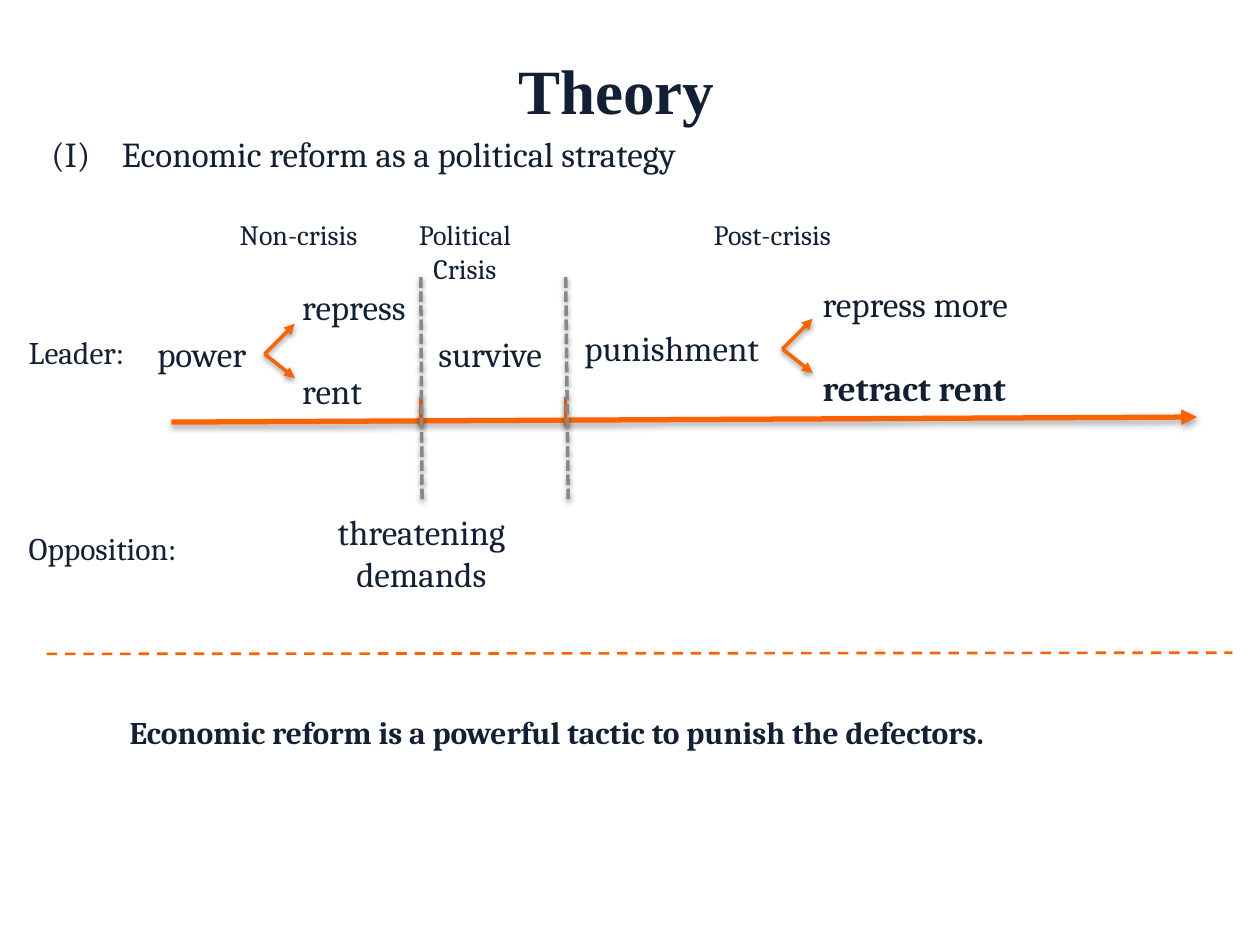
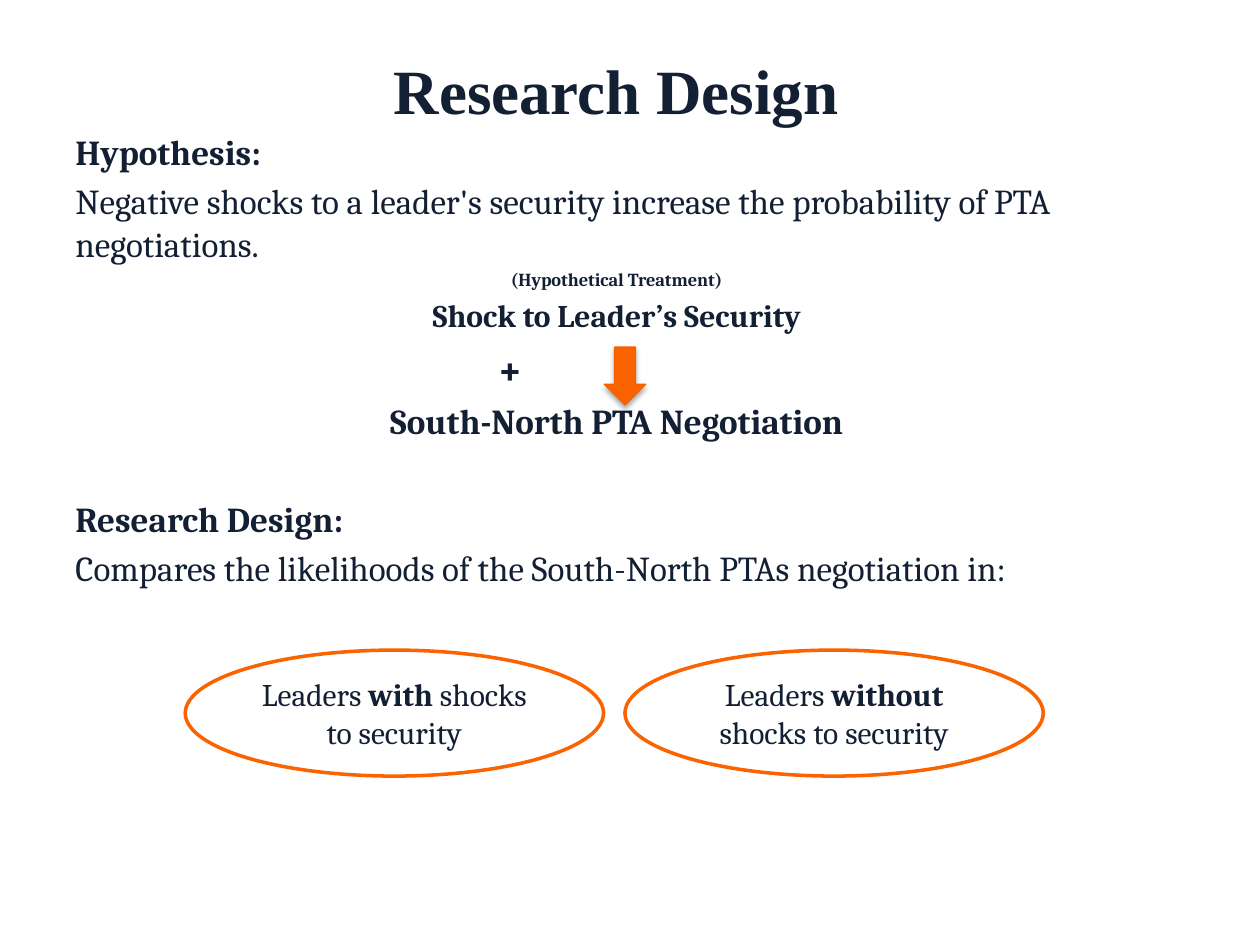
"""Build two slides on political reform: theory and research design."""
import dataclasses

import lxml.etree
import pptx
import pptx.dml.color
import pptx.enum.dml
import pptx.enum.shapes
import pptx.enum.text
import pptx.oxml.ns
import pptx.util

Inches = pptx.util.Inches
Pt = pptx.util.Pt
Align = pptx.enum.text.PP_ALIGN
Anchor = pptx.enum.text.MSO_ANCHOR
Dash = pptx.enum.dml.MSO_LINE
Shape = pptx.enum.shapes.MSO_SHAPE
qn = pptx.oxml.ns.qn


@dataclasses.dataclass(frozen=True)
class Theme:
    """Colours, fonts and type sizes of the deck."""
    ink: str = "131F33"
    accent: str = "FA6300"
    edge: str = "F46100"
    grey: str = "888888"
    white: str = "FFFFFF"
    shade: str = "000000"
    head: str = "Times New Roman"
    body: str = "Cambria"
    title: float = 36
    plus: float = 24
    large: float = 20
    mid: float = 18
    small: float = 16
    tiny: float = 10.5


THEME = Theme()


def rgb(code):
    """Turn a hex code into a colour."""
    return pptx.dml.color.RGBColor.from_string(code)


def style(para, size, bold=False, align=Align.LEFT, face=THEME.body):
    """Set the font and alignment of a paragraph."""
    font = para.font
    font.name, font.size, font.bold = face, Pt(size), bold
    font.color.rgb = rgb(THEME.ink)
    para.alignment = align


def write(slide, box, lines):
    """Add a text box with one paragraph for each (text, style, space before)."""
    frame = slide.shapes.add_textbox(*map(Inches, box)).text_frame
    frame.word_wrap = True
    for place, (text, look, gap) in enumerate(lines):
        para = frame.add_paragraph() if place else frame.paragraphs[0]
        para.text = text
        style(para, **look)
        para.space_before = Pt(gap)
    return frame


def label(slide, box, text, size=THEME.large, **look):
    """Add a text box of a single style."""
    lines = [(part, dict(size=size, **look), 0) for part in text.split("\n")]
    return write(slide, box, lines)


def indent(para, left, first=0):
    """Set the left margin and first-line indent in inches."""
    props = para._p.get_or_add_pPr()
    props.set("marL", str(Inches(left)))
    props.set("indent", str(Inches(first)))
    return props


def shadow(shape, alpha, dist):
    """Give a shape a soft shadow that falls straight down."""
    props = shape.element.spPr
    list_ = lxml.etree.SubElement(props, qn("a:effectLst"))
    if alpha:
        outer = lxml.etree.SubElement(
            list_, qn("a:outerShdw"), blurRad=str(Pt(3.1)), dist=str(Pt(dist)),
            dir="5400000", rotWithShape="0")
        tint = lxml.etree.SubElement(outer, qn("a:srgbClr"), val=THEME.shade)
        lxml.etree.SubElement(tint, qn("a:alpha"), val=str(alpha * 1000))


def draw(slide, start, end, color=THEME.accent, width=2, dash=None,
         arrow=False, alpha=38, dist=1.6):
    """Draw a straight line between two points."""
    link = slide.shapes.add_connector(
        pptx.enum.shapes.MSO_CONNECTOR.STRAIGHT, *map(Inches, (*start, *end)))
    link.line.color.rgb = rgb(color)
    link.line.width = Pt(width)
    if dash:
        link.line.dash_style = dash
    if arrow:
        edge = link.element.spPr.find(qn("a:ln"))
        lxml.etree.SubElement(edge, qn("a:tailEnd"), type="triangle")
    shadow(link, alpha, dist)


def start(deck, text):
    """Add a slide with the shared title style."""
    slide = deck.slides.add_slide(deck.slide_layouts[5])
    title = slide.shapes.title
    title.left, title.top, title.width, title.height = map(
        Inches, (0.42, 0.3, 9.08, 1.25))
    frame = title.text_frame
    frame.text = text
    frame.auto_size = pptx.enum.text.MSO_AUTO_SIZE.NONE
    frame.vertical_anchor = Anchor.TOP
    frame.margin_top, frame.margin_right = Inches(0.11), Inches(0.24)
    style(frame.paragraphs[0], THEME.title, True, Align.CENTER, THEME.head)
    return slide


def fork(slide, left, top):
    """Draw two arrows that part from one point."""
    for rise in (-0.24, 0.19):
        draw(slide, (left, top), (left + 0.24, top + rise), arrow=True)


def choice(slide, box, upper, lower, strong=False):
    """Write two options, one above the other."""
    write(slide, box, [(upper, dict(size=THEME.large), 0),
                       (lower, dict(size=THEME.large, bold=strong), 24)])


def phases(slide, left, top):
    """Name the three phases above the time line."""
    names = ((0, "Non-crisis"), (1.32, "Political\nCrisis"), (3.76, "Post-crisis"))
    for shift, name in names:
        label(slide, (left + shift, top, 1.3, 0.64), name, THEME.small,
              align=Align.CENTER)


def axis(slide, left, top):
    """Draw the time line with its ticks and phase borders."""
    draw(slide, (left, top), (left + 8.14, top - 0.04), width=3, arrow=True,
         alpha=35, dist=1.8)
    for shift, lean in ((1.98, 0.01), (3.13, 0.02)):
        spot = left + shift
        draw(slide, (spot, top - 0.2), (spot, top + 0.03))
        draw(slide, (spot, top - 1.15), (spot + lean, top + 0.63),
             THEME.grey, dash=Dash.SQUARE_DOT)


def leader(slide, left, top):
    """Lay out the moves of the leader."""
    label(slide, (left, top, 1.63, 0.4), "Leader:", THEME.mid)
    label(slide, (left + 1.02, top, 0.97, 0.44), "power")
    fork(slide, left + 1.97, top + 0.22)
    choice(slide, (left + 2.17, top - 0.37, 1.12, 1.11), "repress", "rent")
    label(slide, (left + 3.21, top, 1.1, 0.44), "survive", align=Align.CENTER)
    label(slide, (left + 4.41, top - 0.05, 1.7, 0.44), "punishment")
    fork(slide, left + 6.08, top + 0.18)
    choice(slide, (left + 6.3, top - 0.4, 3.3, 1.11), "repress more",
           "retract rent", True)


def rival(slide, left, top):
    """Lay out the move of the opposition."""
    label(slide, (left, top + 0.15, 1.63, 0.4), "Opposition:", THEME.mid)
    label(slide, (left + 2.4, top, 1.63, 0.77), "threatening demands",
          align=Align.CENTER)


def theory(deck):
    """Build the theory slide."""
    slide = start(deck, "Theory")
    frame = label(slide, (0.31, 1, 9.37, 0.64),
                  "Economic reform as a political strategy")
    props = indent(frame.paragraphs[0], 0.56, -0.56)
    lxml.etree.SubElement(props, qn("a:buFont"), typeface="+mj-lt")
    lxml.etree.SubElement(props, qn("a:buAutoNum"), type="romanUcParenBoth")
    style(frame.paragraphs[0], THEME.large)
    phases(slide, 1.72, 1.68)
    axis(slide, 1.36, 3.35)
    leader(slide, 0.13, 2.59)
    rival(slide, 0.13, 4)
    label(slide, (0.93, 5.61, 8.13, 0.4),
          "Economic reform is a powerful tactic to punish the defectors.",
          THEME.mid, bold=True)
    draw(slide, (0.37, 5.19), (9.78, 5.18), width=1.5, dash=Dash.DASH, alpha=0)


def claims(slide, left, top):
    """Write the hypothesis and the research design."""
    mid, low = Align.CENTER, Align.LEFT
    rows = (
        ("Hypothesis:", THEME.large, True, low),
        ("Negative shocks to a leader's security increase the probability "
         "of PTA negotiations.", THEME.large, False, low),
        ("(Hypothetical Treatment)", THEME.tiny, True, mid),
        ("Shock to Leader’s Security", THEME.mid, True, mid),
        ("+", THEME.plus, True, low),
        ("South-North PTA Negotiation", THEME.large, True, mid),
        ("Research Design:", THEME.large, True, low),
        ("Compares the likelihoods of the South-North PTAs negotiation in:",
         THEME.large, False, low),
    )
    lines = [(text, dict(size=size, bold=bold, align=align), size / 5)
             for text, size, bold, align in rows]
    frame = write(slide, (left, top, 8.79, 5.52), lines)
    indent(frame.paragraphs[4], 3.35)
    frame.paragraphs[6].space_before = Pt(32)


def solid(slide, kind, box, fill, edge, width):
    """Add a filled shape with an outline."""
    shape = slide.shapes.add_shape(kind, *map(Inches, box))
    shape.fill.solid()
    shape.fill.fore_color.rgb = rgb(fill)
    shape.line.color.rgb = rgb(edge)
    shape.line.width = Pt(width)
    return shape


def groups(slide, left, top):
    """Draw the two groups of leaders side by side."""
    for place, word in enumerate(("with", "without")):
        oval = solid(slide, Shape.OVAL, (left + place * 3.49, top, 3.32, 1),
                     THEME.white, THEME.accent, 2)
        oval.shadow.inherit = False
        frame = oval.text_frame
        frame.word_wrap = True
        frame.vertical_anchor = Anchor.MIDDLE
        para = frame.paragraphs[0]
        style(para, THEME.mid, align=Align.CENTER)
        for text in ("Leaders ", word, " shocks to security"):
            run = para.add_run()
            run.text = text
            run.font.bold = text == word


def design(deck):
    """Build the research design slide."""
    slide = start(deck, "Research Design")
    claims(slide, 0.5, 0.99)
    arrow = solid(slide, Shape.RIGHT_ARROW, (4.73, 2.82, 0.46, 0.33),
                  THEME.accent, THEME.edge, 0.75)
    arrow.rotation = 90
    shadow(arrow, 35, 1.8)
    groups(slide, 1.47, 5.16)


def main():
    """Build and save the deck."""
    deck = pptx.Presentation()
    deck.slide_width, deck.slide_height = Inches(10), Inches(7.5)
    theory(deck)
    design(deck)
    deck.save("out.pptx")


if __name__ == "__main__":
    main()
